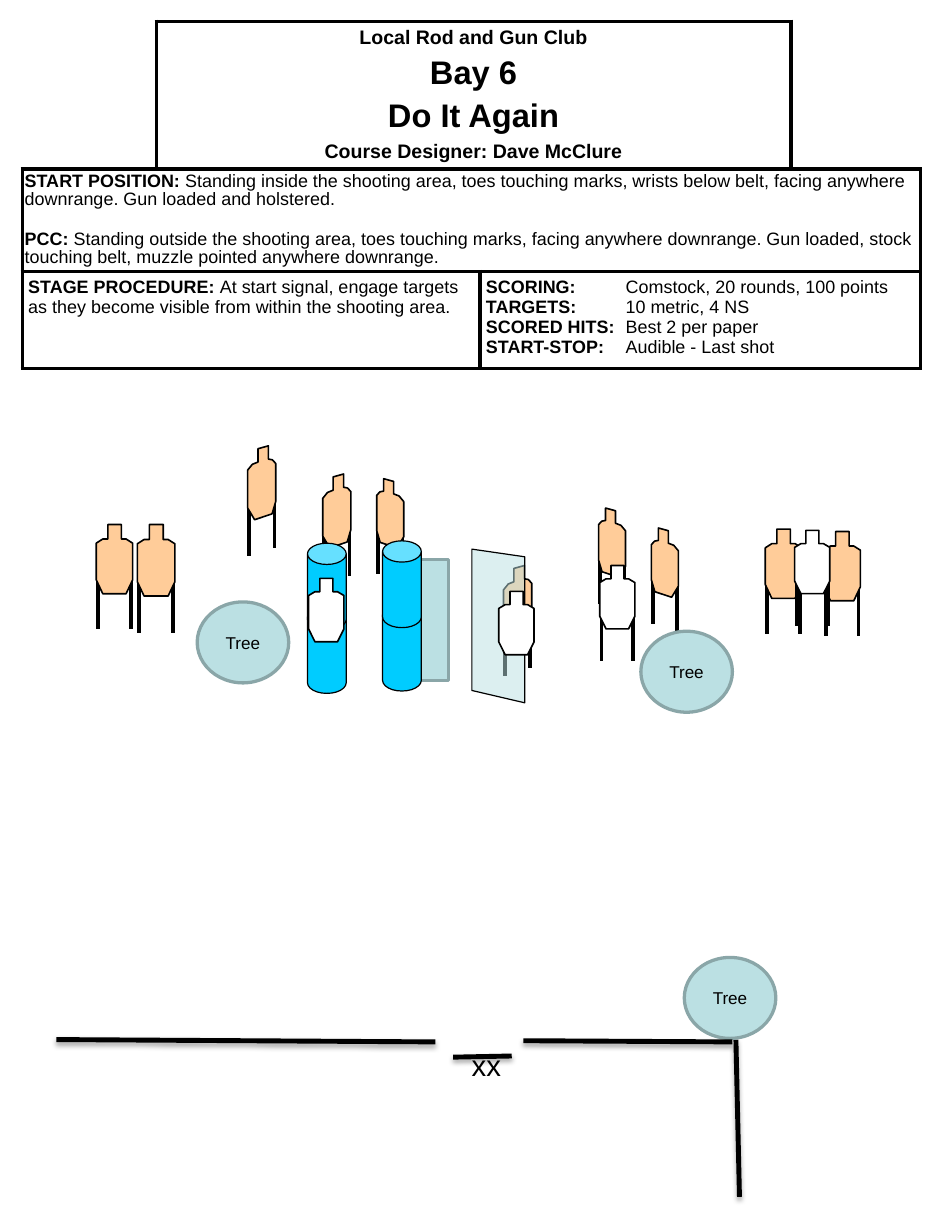
"""Build the stage sheet: a briefing table above a plan of the bay."""
import lxml.etree
import pptx
import pptx.util
import pptx.dml.color
import pptx.enum.shapes
import pptx.enum.text
import pptx.oxml.ns

KIND = pptx.enum.shapes.MSO_SHAPE
ALIGN = pptx.enum.text.PP_ALIGN
MID = pptx.enum.text.MSO_ANCHOR.MIDDLE
TAN, WHITE, BLACK = "FFCC99", "FFFFFF", "000000"
GLASS, EDGE, BLUE = "BBE0E3", "8AA6A8", "00CCFF"

COLS, ROWS = (1.14, 2.76, 2.65, 1.1), (1.26, 0.87, 0.83)
TITLE = [("Local Rod and Gun Club", 12), ("Bay 6", 20), ("Do It Again", 20),
         ("Course Designer: Dave McClure", 12)]
START = [
    ("START POSITION:", " Standing inside the shooting area, toes touching marks, wrists below belt, "
     "facing anywhere downrange. Gun loaded and holstered."),
    ("PCC: ", "Standing outside the shooting area, toes touching marks, facing anywhere downrange. "
     "Gun loaded, stock touching belt, muzzle pointed anywhere downrange."),
]
STAGE = [("STAGE PROCEDURE: ", "At start signal, engage targets as they become visible "
          "from within the shooting area.")]
SCORE = [("SCORING:", "\tComstock, 20 rounds, 100 points"), ("TARGETS:", "\t10 metric, 4 NS"),
         ("SCORED HITS:", "\tBest 2 per paper"), ("START-STOP:", "\tAudible - Last shot")]

FRONT = [(0.32, 0), (0.69, 0), (0.69, 0.21), (0.82, 0.21), (1, 0.27), (1, 0.8),
         (0.82, 1), (0.18, 1), (0, 0.8), (0, 0.27), (0.18, 0.21), (0.32, 0.21)]
RIGHT = [(0.37, 0.04), (0.74, 0), (0.74, 0.18), (0.88, 0.19), (1, 0.24), (1, 0.75),
         (0.87, 0.92), (0.25, 1), (0, 0.84), (0, 0.33), (0.17, 0.25), (0.37, 0.22)]
LEFT = [(1 - x, y) for x, y in RIGHT]
WALL = [(1, 0.05), (0, 0), (0, 0.92), (1, 1)]
POSES = {"front": (FRONT, 0.75, 0.75, 0.76), "right": (RIGHT, 0.81, 0.7, 0.68),
         "left": (LEFT, 0.7, 0.81, 0.68)}

SCENE = [
    ("target", "right", TAN, (2.75, 4.04, 0.24, 0.63)),
    ("target", "left", TAN, (5.1, 4.33, 0.23, 0.59)),
    ("target", "left", TAN, (5.55, 4.5, 0.23, 0.59)),
    ("target", "right", TAN, (4.29, 4.82, 0.24, 0.63)),
    ("fault", (6.27, 8.86, 6.3, 10.2)),
    ("target", "front", TAN, (0.82, 4.47, 0.31, 0.59)),
    ("fault", (3.71, 8.88, 0.48, 8.86)),
    ("target", "front", TAN, (1.17, 4.47, 0.32, 0.61)),
    ("target", "left", TAN, (3.21, 4.08, 0.23, 0.59)),
    ("tree", (5.83, 8.16)),
    ("wall", (4.02, 4.68, 0.45, 1.31)),
    ("tree", (1.68, 5.13)),
    ("tree", (5.46, 5.38)),
    ("target", "front", TAN, (6.52, 4.51, 0.31, 0.59)),
    ("target", "front", TAN, (7.02, 4.53, 0.31, 0.59)),
    ("target", "front", WHITE, (6.77, 4.52, 0.3, 0.54)),
    ("stack", (2.62, 4.63)),
    ("panel", (3.41, 4.77, 0.41, 1.03)),
    ("stack", (3.26, 4.61)),
    ("target", "front", WHITE, (4.25, 5.04, 0.3, 0.54), False),
    ("fault", (6.24, 8.88, 4.46, 8.87)),
    ("fault", (4.36, 9, 3.86, 9.01)),
    ("marks", (3.92, 8.88, 0.51, 0.4)),
    ("target", "front", WHITE, (5.11, 4.82, 0.3, 0.54)),
    ("target", "front", WHITE, (2.63, 4.93, 0.3, 0.54), False),
    ("target", "right", TAN, (2.11, 3.8, 0.24, 0.63)),
]

inch, point = pptx.util.Inches, pptx.util.Pt
deck = pptx.Presentation()
deck.slide_width, deck.slide_height = inch(8), inch(10.5)
slide = deck.slides.add_slide(deck.slide_layouts[6])
shapes = slide.shapes


def tint(code):
    return pptx.dml.color.RGBColor.from_string(code)


def sub(top, tag, **attrs):
    return lxml.etree.SubElement(top, pptx.oxml.ns.qn(tag), attrs)


def paint(shape, fill, line, width):
    shape.shadow.inherit = False
    shape.fill.solid()
    shape.fill.fore_color.rgb = tint(fill)
    shape.line.color.rgb = tint(line)
    shape.line.width = point(width)
    return shape


def style(para, size, bold=None):
    para.font.name, para.font.size, para.font.bold = "Arial", point(size), bold
    para.font.color.rgb = tint(BLACK)


def form(home, box, dots, fill, width):
    left, top, wide, high = box
    spots = [(inch(left + x * wide), inch(top + y * high)) for x, y in dots]
    maker = home.build_freeform(*spots[0], scale=1.0)
    maker.add_line_segments(spots[1:], close=True)
    return paint(maker.convert_to_shape(), fill, BLACK, width)


def rule(home, ends, width):
    line = home.add_connector(pptx.enum.shapes.MSO_CONNECTOR.STRAIGHT, *map(inch, ends))
    line.line.color.rgb = tint(BLACK)
    line.line.width = point(width)
    return sub(line._element.spPr, "a:effectLst")


def target(pose, fill, box, legs=True):
    dots, near, far, drop = POSES[pose]
    left, top, wide, high = box
    home = shapes.add_group_shape().shapes if legs else shapes
    if legs:
        for share, start in ((0.05, near), (0.95, far)):
            x, y = left + share * wide, top + start * high
            rule(home, (x, y, x, y + drop * high), 2.25)
    form(home, box, dots, fill, 1)


def fault(ends):
    glow = sub(rule(shapes, ends, 3), "a:outerShdw", blurRad=str(point(3.1)),
               dist=str(point(1.8)), dir="5400000", rotWithShape="0")
    sub(sub(glow, "a:srgbClr", val=BLACK), "a:alpha", val="35000")


def tree(spot):
    shape = shapes.add_shape(KIND.OVAL, *map(inch, (*spot, 0.78, 0.69)))
    frame = paint(shape, GLASS, EDGE, 2).text_frame
    frame.text, frame.vertical_anchor = "Tree", MID
    frame.paragraphs[0].alignment = ALIGN.CENTER
    style(frame.paragraphs[0], 10.5)


def wall(box):
    shape = form(shapes, box, WALL, GLASS, 0.75)
    sub(shape._element.spPr.find(".//" + pptx.oxml.ns.qn("a:srgbClr")), "a:alpha", val="50000")


def stack(spot):
    home = shapes.add_group_shape().shapes
    for step in (0.54, 0):
        can = home.add_shape(KIND.CAN, *map(inch, (spot[0], spot[1] + step, 0.33, 0.74)))
        can.adjustments[0] = 0.55
        paint(can, BLUE, BLACK, 0.75)


def panel(box):
    paint(shapes.add_shape(KIND.RECTANGLE, *map(inch, box)), GLASS, EDGE, 2)


def marks(box):
    frame = shapes.add_textbox(*map(inch, box)).text_frame
    frame.word_wrap, frame.text = True, "xx"
    style(frame.paragraphs[0], 18)


def border(cell, sides):
    props = cell._tc.get_or_add_tcPr()
    for spot, side in enumerate("LRTB"):
        edge = lxml.etree.Element(pptx.oxml.ns.qn("a:ln" + side), w=str(point(2.25)))
        if side in sides:
            sub(sub(edge, "a:solidFill"), "a:srgbClr", val=BLACK)
        else:
            sub(edge, "a:noFill")
        props.insert(spot, edge)


def brief(cell, lines, inset=(0.05, 0.05), gap=0, space=None, tab=None):
    cell.margin_left = cell.margin_right = inch(inset[0])
    cell.margin_top = cell.margin_bottom = inch(inset[1])
    frame = cell.text_frame
    for row, (head, body) in enumerate(lines):
        para = frame.add_paragraph() if row else frame.paragraphs[0]
        if tab:
            stops = sub(para._p.get_or_add_pPr(), "a:tabLst")
            sub(stops, "a:tab", pos=str(inch(tab)), algn="l")
        para.line_spacing = space
        if row and gap:
            para.space_before = point(gap)
        style(para, 11)
        for text, bold in ((head, True), (body, False)):
            run = para.add_run()
            run.text, run.font.bold = text, bold


def sheet():
    area = map(inch, (0.19, 0.18, sum(COLS), sum(ROWS)))
    grid = shapes.add_table(len(ROWS), len(COLS), *area).table
    grid.first_row = grid.horz_banding = False
    for col, wide in zip(grid.columns, COLS):
        col.width = inch(wide)
    for row, high in zip(grid.rows, ROWS):
        row.height = inch(high)
    for row in range(len(ROWS)):
        for col in range(len(COLS)):
            cell = grid.cell(row, col)
            cell.fill.solid()
            cell.fill.fore_color.rgb = tint(WHITE)
            border(cell, {(0, 0): "RB", (0, 3): "LB"}.get((row, col), "LRTB"))
    for row, start, end in ((0, 1, 2), (1, 0, 3), (2, 0, 1), (2, 2, 3)):
        grid.cell(row, start).merge(grid.cell(row, end))
    head = grid.cell(0, 1)
    head.vertical_anchor = MID
    head.text_frame.text = "\n".join(text for text, size in TITLE)
    for row, (para, (text, size)) in enumerate(zip(head.text_frame.paragraphs, TITLE)):
        para.alignment = ALIGN.CENTER
        if row:
            para.space_before = point(4)
        style(para, size, True)
    brief(grid.cell(1, 0), START, (0.02, 0.04), gap=13, space=0.9)
    brief(grid.cell(2, 0), STAGE)
    brief(grid.cell(2, 2), SCORE, tab=1.19)


DRAW = {"target": target, "fault": fault, "tree": tree, "wall": wall,
        "stack": stack, "panel": panel, "marks": marks}
sheet()
for name, *facts in SCENE:
    DRAW[name](*facts)
deck.save("out.pptx")
